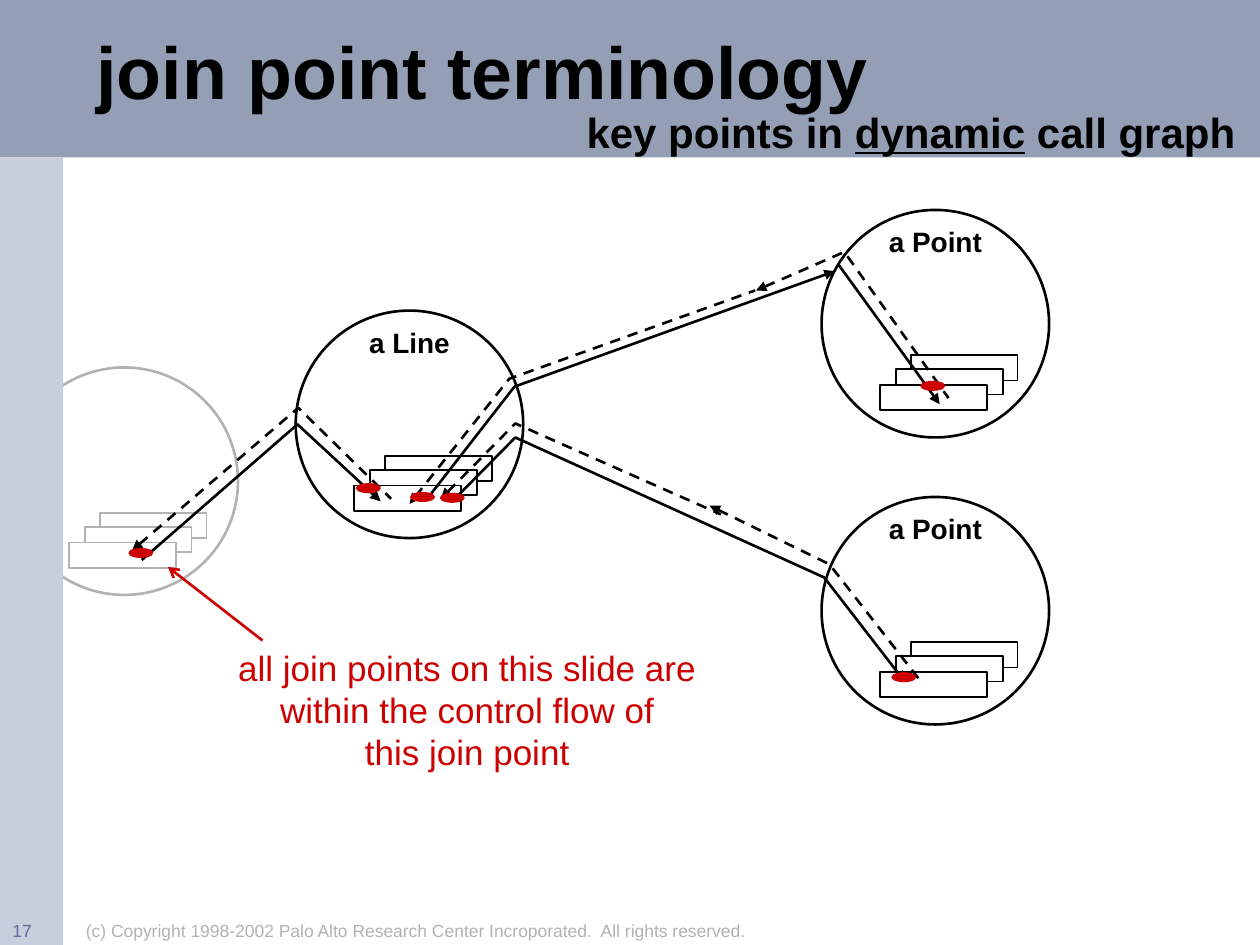
from lxml import etree
from pptx import Presentation
from pptx.dml.color import RGBColor
from pptx.enum import dml, shapes, text
from pptx.oxml import ns
from pptx.util import Pt

COLORS = {
    "black": "000000", "white": "FFFFFF", "grey": "B2B2B2", "red": "CC0000",
    "band": "949FB6", "side": "C8CEDC", "number": "666699",
}
SHAPE = shapes.MSO_SHAPE
ALIGN = text.PP_ALIGN
DISC = 130

# Call paths are solid and point at their end; return paths are dashed and
# point back at their start.
PATHS = [
    ("return", [(75.5, 314.5), (170.5, 233), (223.5, 285)]),
    ("call", [(81, 320), (170, 242.5), (217.5, 286.5)]),
    ("return", [(234, 288), (291, 216.5), (431.5, 166)]),
    ("return", [(432, 166), (482.5, 144), (542, 227.5)]),
    ("call", [(479, 151), (537, 231)]),
    ("call", [(246.5, 282), (294, 221), (477, 155)]),
    ("return", [(252, 285), (294.5, 242), (412, 294)]),
    ("return", [(405.5, 289), (474, 322.5), (525.5, 388.5)]),
    ("call", [(258.5, 286.5), (294.5, 250), (471, 330), (517, 389.5)]),
]
JOIN_POINTS = [(533, 220.5), (80.5, 316), (241.5, 284), (258.5, 284.5),
               (516.5, 387), (210.5, 279)]


def rgb(name):
    return RGBColor.from_string(COLORS[name])


def add_shape(s, kind, x, y, w, h, fill=None, line=None, weight=1):
    sp = s.shapes.add_shape(kind, Pt(x), Pt(y), Pt(w), Pt(h))
    sp.shadow.inherit = False
    if fill:
        sp.fill.solid()
        sp.fill.fore_color.rgb = rgb(fill)
    else:
        sp.fill.background()
    if line:
        sp.line.color.rgb = rgb(line)
        sp.line.width = Pt(weight)
    else:
        sp.line.fill.background()
    return sp


def set_font(p, size, color, bold=False):
    p.font.name = "Arial"
    p.font.size = Pt(size)
    p.font.bold = bold
    p.font.color.rgb = rgb(color)


def add_text(s, x, y, w, h, content, size, color="black", bold=False,
             align=ALIGN.LEFT):
    """Add a one-paragraph text box and return its paragraph."""
    tf = s.shapes.add_textbox(Pt(x), Pt(y), Pt(w), Pt(h)).text_frame
    tf.word_wrap = True
    p = tf.paragraphs[0]
    p.text = content
    p.alignment = align
    set_font(p, size, color, bold)
    return p


def style_line(line, color, end, kind):
    """Colour a line and put an arrowhead at its headEnd or tailEnd."""
    line.color.rgb = rgb(color)
    line.width = Pt(1.5)
    ln = line._get_or_add_ln()
    etree.SubElement(ln, ns.qn(f"a:{end}"), type=kind)


def add_call_path(s, kind, points):
    start, *rest = [(Pt(x), Pt(y)) for x, y in points]
    builder = s.shapes.build_freeform(*start)
    builder.add_line_segments(rest, close=False)
    sp = builder.convert_to_shape()
    sp.shadow.inherit = False
    sp.fill.background()
    if kind == "return":
        sp.line.dash_style = dml.MSO_LINE.DASH
    style_line(sp.line, "black", "headEnd" if kind == "return" else "tailEnd",
               "triangle")


def add_object(s, x, y, label=None, color="black"):
    """Draw an object as a circle holding three stacked method boxes."""
    for dx, dy in [(51, 83), (42.5, 91), (33.5, 100)]:
        add_shape(s, SHAPE.RECTANGLE, x + dx, y + dy, 61, 14.5, "white", color)
    add_shape(s, SHAPE.OVAL, x, y, DISC, DISC, line=color, weight=1.5)
    if label:
        add_text(s, x + 28, y + 5, 74, 26, label, 16, bold=True,
                 align=ALIGN.CENTER)


def add_join_point(s, cx, cy):
    w, h = 13.5, 5
    add_shape(s, SHAPE.OVAL, cx - w / 2, cy - h / 2, w, h, "red", "red", 0.75)


def add_heading(s, x, y, w, h):
    add_shape(s, SHAPE.RECTANGLE, x, y, w, h, "band")
    title = s.shapes.title
    title.left, title.top, title.width, title.height = (
        Pt(x + 48), Pt(y + 6), Pt(600), Pt(75.5))
    title.element.getparent().append(title.element)  # in front of the band
    tf = title.text_frame
    tf.vertical_anchor = text.MSO_ANCHOR.MIDDLE
    tf.auto_size = text.MSO_AUTO_SIZE.NONE
    p = tf.paragraphs[0]
    p.text = "join point terminology"
    p.alignment = ALIGN.LEFT
    p.line_spacing = 0.85
    set_font(p, 42, "black", bold=True)

    p = add_text(s, x + 246, y + 57.5, 467, 36, "key points in ", 24,
                 bold=True, align=ALIGN.RIGHT)
    r = p.add_run()
    r.text = "dynamic"
    r.font.underline = True
    p.add_run().text = " call graph"


def add_call_graph(s):
    add_object(s, 6, 210, color="grey")
    add_object(s, 469.5, 120, "a Point")
    add_object(s, 169, 177.5, "a Line")
    add_object(s, 469.5, 284, "a Point")
    for kind, points in PATHS:
        add_call_path(s, kind, points)
    for cx, cy in JOIN_POINTS:
        add_join_point(s, cx, cy)


def add_callout(s, x, y, w, h):
    add_text(s, x, y, w, h, "all join points on this slide are within the "
             "control flow of\vthis join point", 20, "red",
             align=ALIGN.CENTER)
    arrow = s.shapes.add_connector(shapes.MSO_CONNECTOR.STRAIGHT, Pt(x + 48),
                                   Pt(y), Pt(x - 6), Pt(y - 42))
    style_line(arrow.line, "red", "tailEnd", "arrow")
    etree.SubElement(arrow.element.spPr, ns.qn("a:effectLst"))


def add_footer(s, x, y, h):
    add_text(s, x + 42, y, 402, h, "(c) Copyright 1998-2002 Palo Alto Research "
             "Center Incroporated.  All rights reserved.", 10, "grey")
    add_text(s, x, y, 36, h, "17", 10, "number")


def main():
    prs = Presentation()
    prs.slide_width, prs.slide_height = Pt(720), Pt(540)
    s = prs.slides.add_slide(prs.slide_layouts[5])
    add_heading(s, 0, 0, 720, 90)
    add_call_graph(s)
    add_callout(s, 102, 366, 330, 79)
    # The side band hides the part of the caller that runs off the page.
    add_shape(s, SHAPE.RECTANGLE, 0, 90, 36, 450, "side")
    add_footer(s, 0, 522, 18)
    prs.save("out.pptx")


if __name__ == "__main__":
    main()
